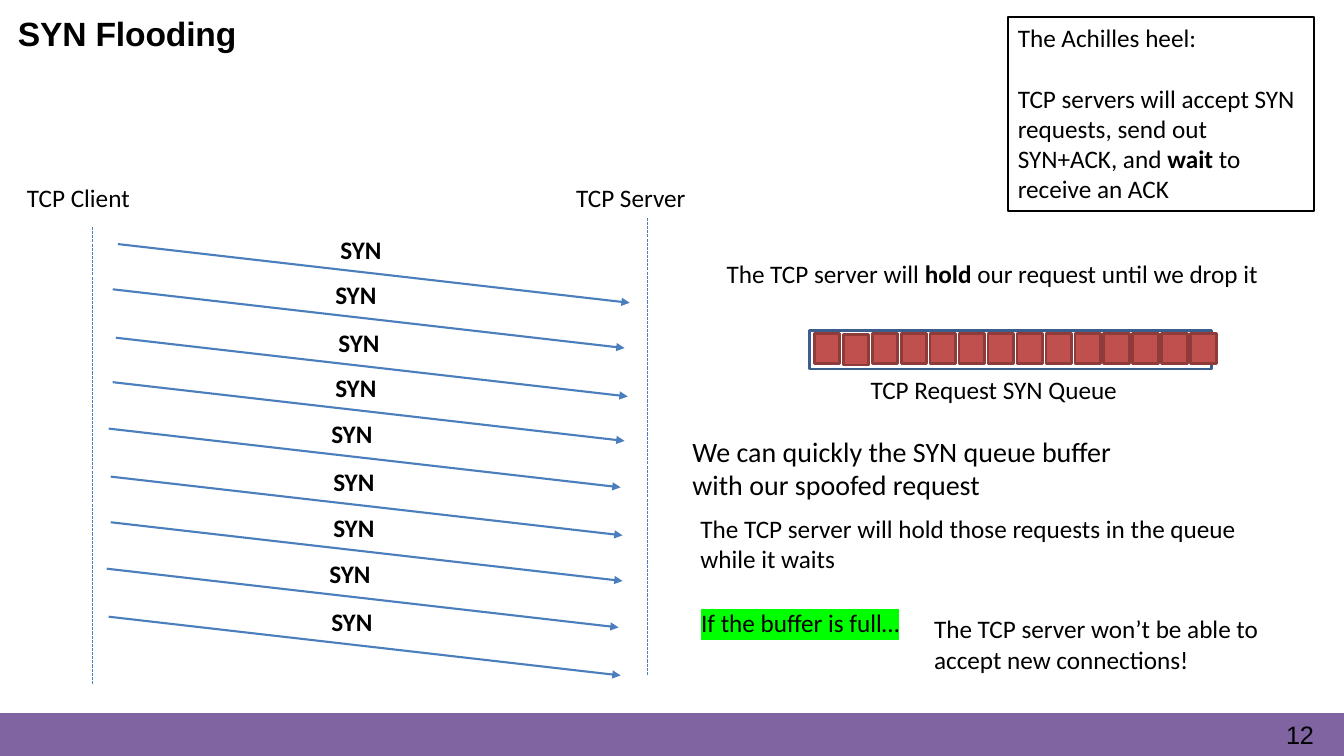
from lxml import etree
from pptx import Presentation
from pptx import util as u
from pptx.dml import color as dye
from pptx.enum import dml, shapes, text
from pptx.oxml import ns

HUES = {"ink": "000000", "band": "8063A1", "blue": "4B7EBC", "frame": "3A5F8C",
        "red": "C0504D", "edge": "8E3B39", "mark": "00FF00"}

HEEL = [
    [("The Achilles heel:", False)],
    [("TCP servers will accept SYN requests, send out SYN+ACK, and ", False),
     ("wait", True), (" to receive an ACK", False)],
]
NOTES = [
    ((0.43, 4.47, 3.61, 1.02), 18, [("TCP Client", False)]),
    ((14.27, 4.48, 3.86, 1.02), 18, [("TCP Server", False)]),
    ((18.06, 6.38, 15.21, 1.02), 18,
     [("The TCP server will ", False), ("hold", True),
      (" our request until we drop it", False)]),
    ((21.69, 9.32, 7.95, 1.02), 18, [("TCP Request SYN Queue", False)]),
    ((17.2, 10.82, 11.38, 1.96), 20,
     [("We can quickly the SYN queue buffer with our spoofed request", False)]),
    ((17.4, 12.8, 14.83, 1.8), 18,
     [("The TCP server will hold those requests in the queue while it waits", False)]),
    ((23.29, 15.34, 9.32, 1.8), 18,
     [("The TCP server won’t be able to accept new connections!", False)]),
]
FULL = ((17.42, 15.19, 6.22, 1.02), 18, [("If the buffer is full…", False)])
TITLE = ((0.2, 0.2, 22.43, 1.27), 24, [("SYN Flooding", True)])
PAGE = ((31.95, 18.16, 1.8, 0.79), 18, [("12", False)])

LANES = [((2.34, 5.72), 11.51), ((16.31, 5.49), 11.51)]
SENDS = [(2.97, 6.15), (2.84, 7.29), (2.92, 8.51), (2.84, 9.63), (2.74, 10.8),
         (2.79, 12.01), (2.79, 13.16), (2.69, 14.33), (2.74, 15.54)]
REACH = (12.9, 1.48)
SLOTS, PITCH = 14, 0.73
SHIFT = {1: 0.04}

deck = Presentation()
deck.slide_width, deck.slide_height = u.Cm(33.87), u.Cm(19.05)
slide = deck.slides.add_slide(deck.slide_layouts[6])


def tint(name):
    return dye.RGBColor.from_string(HUES[name])


def write(frame, lines, size, face="Calibri", gap=0, tight=False):
    frame.word_wrap = True
    frame.auto_size = text.MSO_AUTO_SIZE.SHAPE_TO_FIT_TEXT
    frame.vertical_anchor = text.MSO_ANCHOR.TOP
    for i, line in enumerate(lines):
        para = frame.paragraphs[0] if i == 0 else frame.add_paragraph()
        para.alignment = text.PP_ALIGN.LEFT
        if i:
            para.space_before = u.Pt(gap)
        for words, bold in line:
            run = para.add_run()
            run.text = words
            run.font.name, run.font.size, run.font.bold = face, u.Pt(size), bold
            run.font.color.rgb = tint("ink")
            if tight:
                run.font._element.set("spc", "-10")
    return frame


def label(spot, size, line, **look):
    box = slide.shapes.add_textbox(*map(u.Cm, spot))
    return write(box.text_frame, [line], size, **look)


def block(spot, fill, edge, width):
    shape = slide.shapes.add_shape(shapes.MSO_SHAPE.RECTANGLE, *map(u.Cm, spot))
    shape.shadow.inherit = False
    if fill:
        shape.fill.solid()
        shape.fill.fore_color.rgb = tint(fill)
    else:
        shape.fill.background()
    shape.line.color.rgb = tint(edge)
    shape.line.width = u.Pt(width)
    return shape


def stroke(x, y, dx, dy, width):
    line = slide.shapes.add_connector(
        shapes.MSO_CONNECTOR.STRAIGHT, *map(u.Cm, (x, y, x + dx, y + dy)))
    line.line.color.rgb = tint("blue")
    line.line.width = u.Pt(width)
    etree.SubElement(line._element.spPr, ns.qn("a:effectLst"))
    return line


block((0, 17.98, 33.87, 1.07), "band", "band", 1)
page = label(*PAGE, face="Arial", tight=True)
page.margin_left = u.Cm(0.46)
page.margin_right = page.margin_top = page.margin_bottom = 0
page.paragraphs[0].line_spacing = u.Pt(20.9)
label(*TITLE, face="Arial", tight=True)

for (x, y), drop in LANES:
    stroke(x, y, 0, drop, 0.75).line.dash_style = dml.MSO_LINE.SQUARE_DOT

heel = block((25.4, 0.43, 7.72, 4.88), None, "ink", 1.5)
write(heel.text_frame, HEEL, 18, gap=22)

for x, y in SENDS:
    arrow = stroke(x, y, *REACH, 1.5)
    etree.SubElement(arrow.line._get_or_add_ln(), ns.qn("a:tailEnd"), type="triangle")
    label((x + 5.36, y - 0.38, 1.83, 1.02), 18, [("SYN", True)])

block((20.4, 8.33, 10.13, 0.97), None, "frame", 2)
for i in range(SLOTS):
    block((20.52 + i * PITCH, 8.4 + SHIFT.get(i, 0), 0.64, 0.76), "red", "edge", 2)

for note in NOTES:
    label(*note)

full = label(*FULL)
glow = etree.Element(ns.qn("a:highlight"))
etree.SubElement(glow, ns.qn("a:srgbClr"), val=HUES["mark"])
face = full.paragraphs[0].runs[0].font._element
face.find(ns.qn("a:solidFill")).addnext(glow)

deck.save("out.pptx")
